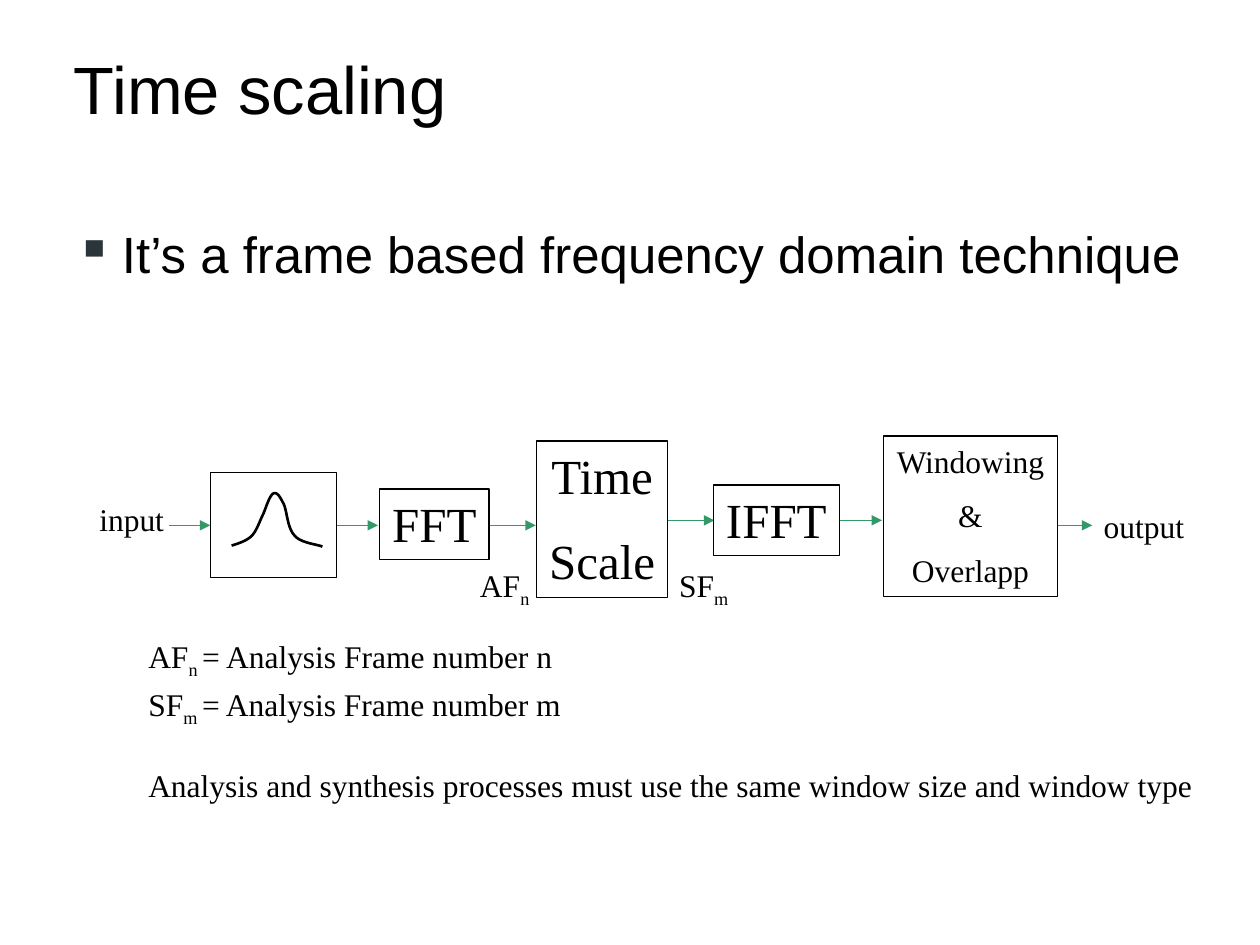
from lxml import etree
from pptx import Presentation
from pptx.dml.color import RGBColor
from pptx.enum.shapes import MSO_CONNECTOR, MSO_SHAPE
from pptx.enum.text import MSO_ANCHOR, MSO_AUTO_SIZE, PP_ALIGN
from pptx.oxml.ns import qn
from pptx.util import Cm, Pt

LEFT, CENTER, JUSTIFY = PP_ALIGN.LEFT, PP_ALIGN.CENTER, PP_ALIGN.JUSTIFY
TOP, MIDDLE = MSO_ANCHOR.TOP, MSO_ANCHOR.MIDDLE
GROW, FIXED = MSO_AUTO_SIZE.SHAPE_TO_FIT_TEXT, MSO_AUTO_SIZE.NONE
RECTANGLE, STRAIGHT = MSO_SHAPE.RECTANGLE, MSO_CONNECTOR.STRAIGHT

THEME = {
    "ink": "000000", "paper": "FFFFFF", "arrow": "339966", "bullet": "2A353A",
    "sans": "Arial", "serif": "Times New Roman",
    "title": 38.2, "body": 29.1, "block": 28, "label": 18,
    "thin": 0.75, "thick": 1.5,
}

# Content: places are (left, top, width, height) in centimetres.
# A line is a tuple of pieces; every second piece is a subscript.
TITLE = ((1.24, 0.03, 21.62, 3.43), "Time scaling")
POINT = ((1.27, 4.45, 22.86, 12.83), "It’s a frame based frequency domain technique")
WINDOW_BLOCK = (4.24, 9.53, 2.54, 2.11)
BLOCKS = [
    ((7.65, 9.86, 2.21, 1.42), "block", ["FFT"]),
    ((10.82, 8.89, 2.64, 3.15), "block", ["Time", "Scale"]),
    ((14.38, 9.78, 2.54, 1.42), "block", ["IFFT"]),
    ((17.81, 8.79, 3.51, 3.23), "label", ["Windowing", "&", "Overlapp"]),
]
LABELS = [
    ((1.7, 9.96, 1.91, 1.02), ("input",)),
    ((21.89, 10.11, 2.34, 1.02), ("output",)),
    ((9.12, 11.23, 2.11, 1.12), ("AF", "n")),
    ((13.13, 11.23, 2.11, 1.12), ("SF", "m")),
]
NOTES_PLACE = (2.74, 12.67, 22.02, 4.75)
NOTES = [  # pieces, line spacing, space before
    (("AF", "n ", "= Analysis Frame number n"), 0.93, 11.2),
    (("SF", "m ", "= Analysis Frame number m"), 0.56, 11.2),
    (("Analysis and synthesis processes must use the same window size and window type",),
     0.56, 34),
]
ARROWS = [  # start, end, height
    (3.4, 4.24, 10.59), (6.78, 7.62, 10.59), (9.53, 10.8, 10.59),
    (13.13, 14.4, 10.49), (16.51, 17.78, 10.49), (21.18, 22.02, 10.59),
]
BELL_START = (4.67, 11.0)
BELL_CURVES = [  # two control points and an end point each
    ((4.83, 10.95), (4.98, 10.9), (5.08, 10.8)),
    ((5.18, 10.69), (5.23, 10.52), (5.31, 10.36)),
    ((5.36, 10.24), (5.44, 9.98), (5.51, 9.95)),
    ((5.59, 9.91), (5.64, 10.01), (5.72, 10.16)),
    ((5.79, 10.31), (5.79, 10.64), (5.94, 10.8)),
    ((6.07, 10.95), (6.38, 10.97), (6.5, 11.02)),
]
CURVE_STEPS = 10


def color(name):
    return RGBColor.from_string(THEME[name])


def apply(target, values):
    for name, value in values.items():
        setattr(target, name, value)


def set_line(shape, name="ink", width="thin"):
    shape.line.color.rgb = color(name)
    shape.line.width = Pt(THEME[width])


def write(box, lines, size, font="serif", align=CENTER, anchor=TOP,
          wrap=True, fit=GROW, inset=0.18):
    """Fill a box with lines of (pieces, line spacing, space before)."""
    frame = box.text_frame
    apply(frame, {"word_wrap": wrap, "auto_size": fit, "vertical_anchor": anchor,
                  "margin_left": Cm(0.25), "margin_right": Cm(0.25),
                  "margin_top": Cm(inset), "margin_bottom": Cm(0.13)})
    for number, (pieces, spacing, before) in enumerate(lines):
        para = frame.add_paragraph() if number else frame.paragraphs[0]
        apply(para, {"alignment": align, "line_spacing": spacing,
                     "space_before": Pt(before)})
        for place, piece in enumerate(pieces):
            span = para.add_run()
            span.text = piece
            apply(span.font, {"size": Pt(THEME[size]), "name": THEME[font]})
            span.font.color.rgb = color("ink")
            if place % 2:
                span.font._element.set("baseline", "-25000")
    return frame


def add_box(page, place):
    return page.shapes.add_textbox(*map(Cm, place))


def add_block(page, place):
    box = page.shapes.add_shape(RECTANGLE, *map(Cm, place))
    box.shadow.inherit = False
    box.fill.solid()
    box.fill.fore_color.rgb = color("paper")
    set_line(box)
    return box


def add_arrow(page, start, end, height):
    arrow = page.shapes.add_connector(STRAIGHT, Cm(start), Cm(height), Cm(end), Cm(height))
    set_line(arrow, "arrow")
    etree.SubElement(arrow.line._get_or_add_ln(), qn("a:tailEnd"), type="triangle")
    etree.SubElement(arrow._element.spPr, qn("a:effectLst"))


def add_bullet(para):
    props = para._p.get_or_add_pPr()
    props.set("marL", str(Cm(0.94)))
    props.set("indent", str(-Cm(0.94)))
    tint = etree.SubElement(props, qn("a:buClr"))
    etree.SubElement(tint, qn("a:srgbClr"), val=THEME["bullet"])
    etree.SubElement(props, qn("a:buChar"), char="▪")


def curve_points(start, curves):
    for first, second, end in curves:
        for step in range(1, CURVE_STEPS + 1):
            t = step / CURVE_STEPS
            u = 1 - t
            yield tuple(Cm(u**3 * a + 3 * u * u * t * b + 3 * u * t * t * c + t**3 * d)
                        for a, b, c, d in zip(start, first, second, end))
        start = end


def add_bell(page):
    builder = page.shapes.build_freeform(*map(Cm, BELL_START))
    builder.add_line_segments(curve_points(BELL_START, BELL_CURVES), close=False)
    bell = builder.convert_to_shape()
    bell.shadow.inherit = False
    bell.fill.background()
    set_line(bell, width="thick")


def main():
    deck = Presentation()
    apply(deck, {"slide_width": Cm(25.4), "slide_height": Cm(19.05)})
    page = deck.slides.add_slide(deck.slide_layouts[6])

    # Title and bullet point
    place, text = TITLE
    write(add_box(page, place), [((text,), 1.0, 0)], "title", "sans", LEFT, MIDDLE, inset=0.2)
    place, text = POINT
    frame = write(add_box(page, place), [((text,), 0.95, 8.7)], "body", "sans", JUSTIFY,
                  fit=FIXED, inset=0.13)
    add_bullet(frame.paragraphs[0])

    # Signal chain: arrows lie beneath the blocks
    for arrow in ARROWS:
        add_arrow(page, *arrow)
    add_block(page, WINDOW_BLOCK)
    add_bell(page)
    for place, size, words in BLOCKS:
        before, inset = (17.5, 0.2) if size == "block" else (11.2, 0.18)
        write(add_block(page, place), [((word,), 0.93, before) for word in words], size,
              anchor=MIDDLE, wrap=False, inset=inset)

    # Labels and notes
    for place, pieces in LABELS:
        write(add_box(page, place), [(pieces, 0.93, 11.2)], "label")
    write(add_box(page, NOTES_PLACE), NOTES, "label", align=LEFT)

    deck.save("out.pptx")


if __name__ == "__main__":
    main()
